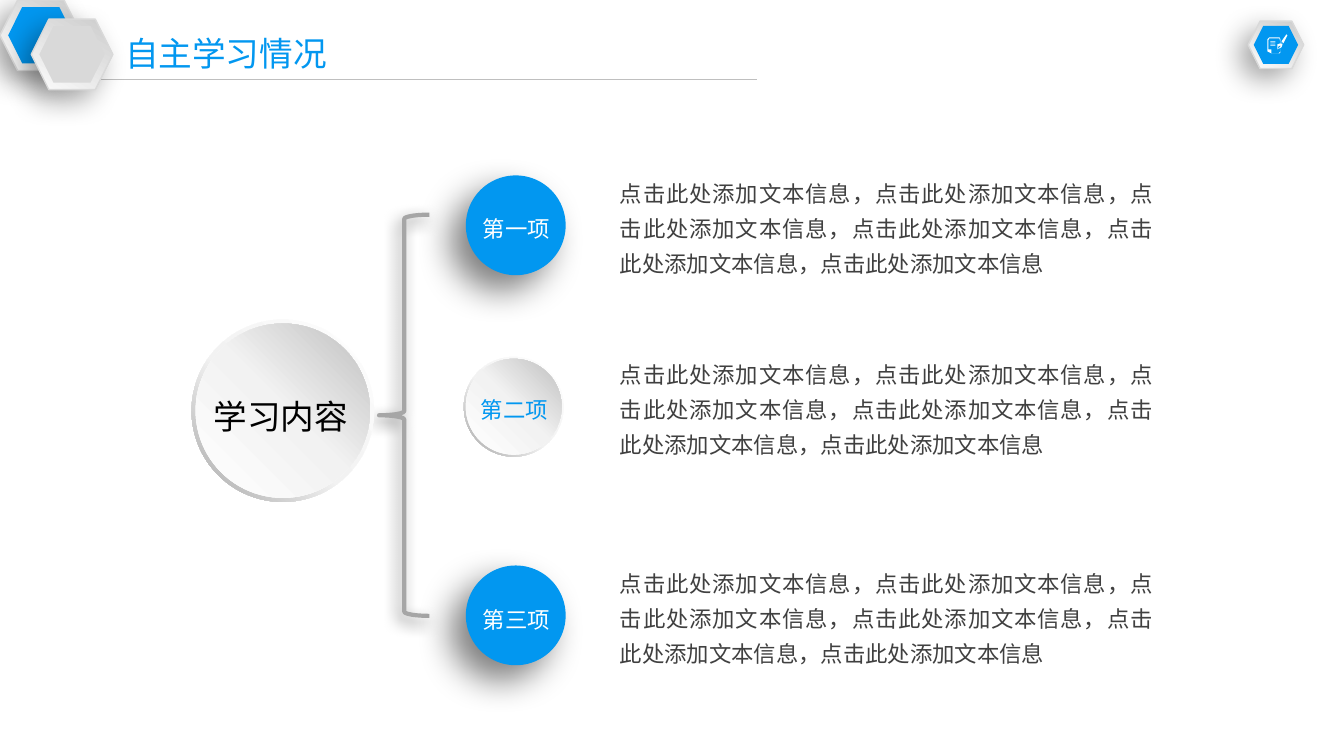
from dataclasses import dataclass

from lxml import etree
from pptx import Presentation
from pptx import util as u
from pptx.dml.color import RGBColor
from pptx.enum import shapes, text
from pptx.oxml.ns import qn

MS = shapes.MSO_SHAPE


@dataclass(frozen=True)
class Theme:
    font: str = "Noto Sans CJK SC"
    accent: str = "0297F0"
    white: str = "FFFFFF"
    black: str = "000000"
    body: str = "404040"
    rule: str = "BFBFBF"
    brace: str = "A6A6A6"
    pale: str = "D9D9D9"
    heading: int = 24
    normal: int = 16
    # Gradients: angle, then (position, colour) stops
    bevel: tuple = (120, (0, "CCCCCC"), (100, "FCFCFC"))
    ring: tuple = (135, (0, "FFFFFF"), (55, "F2F2F2"), (100, "A6A6A6"))
    dome: tuple = (315, (0, "FFFFFF"), (51, "F2F2F2"), (100, "BFBFBF"))
    # Shadows: opacity, blur, distance, angle
    hex_shadow: tuple = (34, 20, 10, 136)
    disc_shadow: tuple = (50, 25, 15, 135)
    brace_shadow: tuple = (50, 11, 5, 135)


T = Theme()
DETAIL = "，".join(["点击此处添加文本信息"] * 6)


def add_xml(parent, tag, **attrs):
    return etree.SubElement(parent, qn(tag), {k: str(v) for k, v in attrs.items()})


def add_color(parent, color):
    return add_xml(parent, "a:srgbClr", val=color)


def style(sp, fill=None, line=None, shadow=None):
    """Fill is a colour, a gradient or None; line is (colour, points)."""
    sp.shadow.inherit = False
    if isinstance(fill, str):
        sp.fill.solid()
        sp.fill.fore_color.rgb = RGBColor.from_string(fill)
    else:
        sp.fill.background()
    if line:
        sp.line.color.rgb = RGBColor.from_string(line[0])
        sp.line.width = u.Pt(line[1])
    else:
        sp.line.fill.background()
    props = sp.element.spPr
    if isinstance(fill, tuple):
        grad = etree.Element(qn("a:gradFill"), rotWithShape="1")
        stops = add_xml(grad, "a:gsLst")
        for pos, color in fill[1:]:
            add_color(add_xml(stops, "a:gs", pos=pos * 1000), color)
        add_xml(grad, "a:lin", ang=fill[0] * 60000, scaled=0)
        props.replace(props.find(qn("a:noFill")), grad)
    if shadow:
        alpha, blur, dist, angle = shadow
        outer = add_xml(props.find(qn("a:effectLst")), "a:outerShdw",
                        blurRad=u.Pt(blur), dist=u.Pt(dist), dir=angle * 60000,
                        algn="tr", rotWithShape=0)
        add_xml(add_color(outer, T.black), "a:alpha", val=alpha * 1000)
    return sp


def add_shape(parent, kind, x, y, w, h, **look):
    sp = parent.shapes.add_shape(kind, *map(u.Inches, (x, y, w, h)))
    return style(sp, **look)


def write(sp, words, size, color, align=text.PP_ALIGN.LEFT, spacing=1.0):
    tf = sp.text_frame
    tf.word_wrap = True
    tf.auto_size = text.MSO_AUTO_SIZE.SHAPE_TO_FIT_TEXT
    tf.vertical_anchor = text.MSO_ANCHOR.TOP
    p = tf.paragraphs[0]
    p.alignment, p.line_spacing = align, spacing
    r = p.add_run()
    r.text = words
    r.font.name, r.font.size = T.font, u.Pt(size)
    r.font.color.rgb = RGBColor.from_string(color)
    add_xml(r.font._element, "a:ea", typeface=T.font)


def add_text(parent, x, y, w, h, *args, **kwargs):
    write(parent.shapes.add_textbox(*map(u.Inches, (x, y, w, h))), *args, **kwargs)


def add_hexagon(parent, x, y, w, h, core):
    """A bevelled hexagon with a flat core a tenth of the size in."""
    add_shape(parent, MS.HEXAGON, x, y, w, h, fill=T.bevel,
              line=(T.pale, 1), shadow=T.hex_shadow)
    add_shape(parent, MS.HEXAGON, x + w * 0.1, y + h * 0.1, w * 0.8, h * 0.8, fill=core)


def add_dome(parent, x, y, size, rim):
    """A pale disc inside a bevelled ring."""
    ring = add_shape(parent, MS.DONUT, x, y, size, size, fill=T.ring)
    ring.adjustments[0] = 0.049
    inner = size - 2 * rim
    add_shape(parent, MS.OVAL, x + rim, y + rim, inner, inner, fill=T.dome)


def add_header(s, x, y, w, h):
    # Rule under the title
    rule = s.shapes.add_connector(shapes.MSO_CONNECTOR.STRAIGHT,
                                  *map(u.Inches, (x + 0.81, y + 0.79, x + w, y + 0.79)))
    rule.line.color.rgb = RGBColor.from_string(T.rule)
    rule.line.width = u.Pt(1)
    add_xml(rule.element.spPr, "a:effectLst")
    # Overlapping hexagons
    grp = s.shapes.add_group_shape()
    for dx, dy, core in ((0, 0, T.accent), (0.31, 0.19, T.pale)):
        add_hexagon(grp, x + dx, y + dy, 0.81, 0.7, core)
    # Title
    title = s.shapes.title
    title.left, title.top, title.width, title.height = map(
        u.Inches, (x + 1.14, y + 0.28, 2.68, h - 0.39))
    write(title, "自主学习情况", T.heading, T.accent)


def add_badge(s, x, y, w, h):
    grp = s.shapes.add_group_shape()
    add_hexagon(grp, x, y, w, h, T.accent)
    # Pencil shaft, ferrule, nib and sheet outline, offset from the badge corner
    outlines = (
        [(0.38, 0.13), (0.33, 0.2), (0.35, 0.22), (0.39, 0.14)],
        [(0.32, 0.21), (0.33, 0.22), (0.34, 0.22)],
        [(0.32, 0.22), (0.29, 0.23), (0.29, 0.28), (0.3, 0.25), (0.32, 0.24),
         (0.32, 0.25), (0.29, 0.28), (0.33, 0.26), (0.34, 0.23)],
        [(0.32, 0.3), (0.3, 0.32), (0.23, 0.32), (0.23, 0.28), (0.2, 0.28),
         (0.2, 0.19), (0.21, 0.17), (0.31, 0.17), (0.32, 0.21), (0.32, 0.18),
         (0.31, 0.16), (0.21, 0.16), (0.19, 0.18), (0.19, 0.3), (0.23, 0.32),
         (0.31, 0.32), (0.32, 0.31), (0.32, 0.27)],
    )
    for outline in outlines:
        points = [(u.Inches(x + dx), u.Inches(y + dy)) for dx, dy in outline]
        builder = grp.shapes.build_freeform(*points[0], scale=1.0)
        builder.add_line_segments(points[1:], close=True)
        style(builder.convert_to_shape(), fill=T.white)
    # Lines of writing
    for i in range(4):
        add_shape(grp, MS.RECTANGLE, x + 0.22, y + 0.2 + i * 0.04 / 3,
                  0.05, u.Pt(0.4).inches, fill=T.white)


def add_hub(s, x, y, size):
    grp = s.shapes.add_group_shape()
    add_dome(grp, x, y, size, 0.04)
    add_text(grp, x + 0.12, y + 0.71, 1.88, 0.5, "学习内容", T.heading, T.black)


def add_item(s, x, y, w, h, label, raised):
    # Disc with its label
    grp = s.shapes.add_group_shape()
    if raised:
        add_shape(grp, MS.OVAL, x, y + 0.08, 0.99, 0.99,
                  fill=T.accent, shadow=T.disc_shadow)
    else:
        add_dome(grp, x - 0.02, y + 0.09, 0.99, 0.02)
    add_text(grp, x + (0.07 if raised else 0.05), y + 0.43, 0.91, 0.37, label,
             T.normal, T.white if raised else T.accent)
    # Description
    add_text(s, x + 1.43, y, w - 1.43, h, DETAIL, T.normal, T.body,
             align=text.PP_ALIGN.JUSTIFY, spacing=1.3)


def main():
    prs = Presentation()
    prs.slide_width, prs.slide_height = u.Inches(13.33), u.Inches(7.5)
    s = prs.slides.add_slide(prs.slide_layouts[5])
    add_header(s, 0, 0, 7.51, 0.89)
    add_badge(s, 12.38, 0.21, 0.55, 0.47)
    # Brace from the hub to the items
    add_shape(s, MS.LEFT_BRACE, 3.76, 2.13, 0.5, 3.98,
              line=(T.brace, 3), shadow=T.brace_shadow)
    add_hub(s, 1.9, 3.17, 1.81)
    items = ((1.66, "第一项", True), (3.45, "第二项", False), (5.53, "第三项", True))
    for top, label, raised in items:
        add_item(s, 4.62, top, 6.92, 1.15, label, raised)
    prs.save("out.pptx")


if __name__ == "__main__":
    main()
